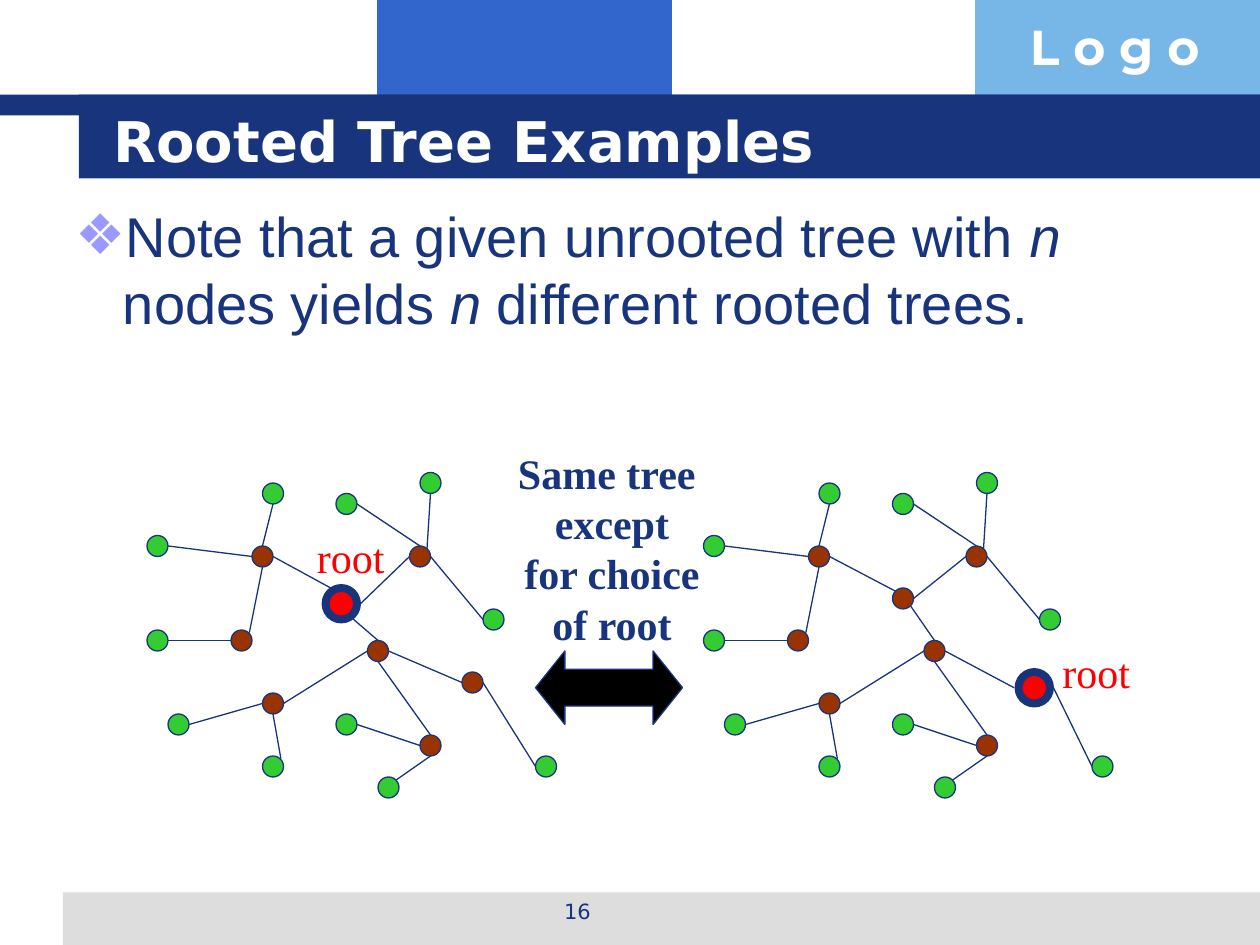
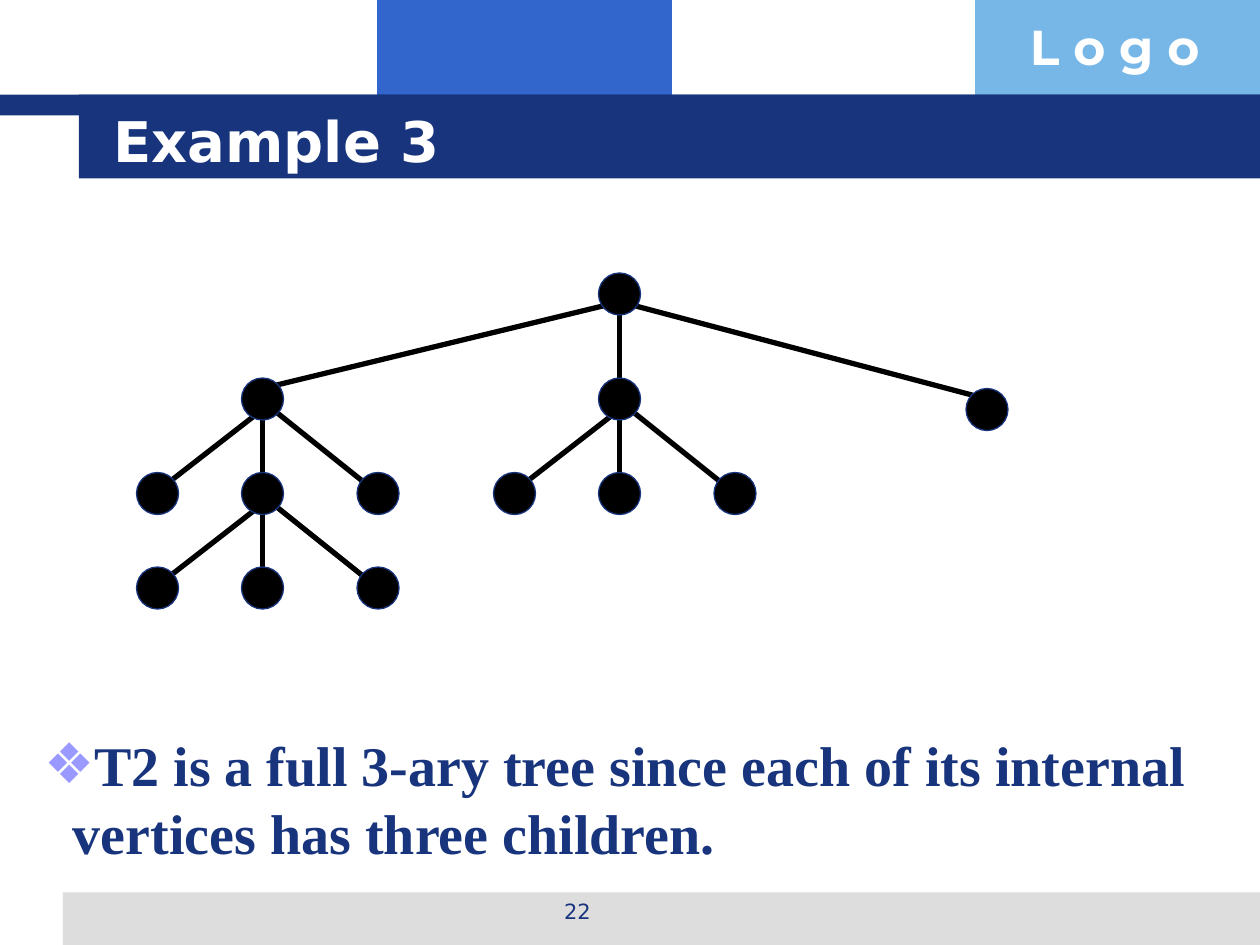
from lxml import etree
from pptx import Presentation
from pptx.dml.color import RGBColor
from pptx.enum import shapes, text
from pptx.oxml.ns import qn
from pptx.util import Pt

NAVY = RGBColor(0x17, 0x34, 0x7D)
BLUE = RGBColor(0x33, 0x66, 0xCC)
SKY = RGBColor(0x77, 0xB7, 0xE7)
GREY = RGBColor(0xDD, 0xDD, 0xDD)
LILAC = RGBColor(0x99, 0x99, 0xFF)
BROWN = RGBColor(0x99, 0x33, 0x00)
GREEN = RGBColor(0x33, 0xCC, 0x33)
RED = RGBColor(0xFF, 0x00, 0x00)
WHITE = RGBColor(0xFF, 0xFF, 0xFF)
BLACK = RGBColor(0x00, 0x00, 0x00)

SANS, BODY, SERIF, LOGO = "DejaVu Sans", "Arial", "Times New Roman", "Montserrat"
OVAL = shapes.MSO_SHAPE.OVAL
RECTANGLE = shapes.MSO_SHAPE.RECTANGLE

# Left, top, width, height and colour of the bands every slide shares
BANDS = [
    (215.5, 0, 168.5, 66, BLUE),
    (557.25, 0, 162.75, 66, SKY),
    (36, 510, 684, 30, GREY),
    (0, 54, 720, 12, NAVY),
    (45, 54, 675, 48, NAVY),
]

# Top left corners of the nodes in the tree with a movable root
TREE_SHIFT = 318
INNER_NODES = [(144, 312), (150, 396), (132, 360), (210, 366), (240, 420), (234, 312)]
LEAVES = [(276, 348), (192, 282), (192, 408), (96, 408), (240, 270), (306, 432),
          (150, 432), (84, 360), (84, 306), (150, 276), (216, 444)]
SHARED_EDGES = [
    (240, 312, 204, 288), (246, 318, 276, 354), (216, 378, 246, 420),
    (210, 372, 162, 402), (142.5, 361.5, 150, 324), (204, 414, 240, 426),
    (108, 414, 150, 402), (246, 432, 226, 446), (244, 314, 246, 282),
    (150, 312, 156, 288), (144, 318, 96, 312), (96, 366, 132, 366),
    (156, 408, 160.5, 433.5),
]
# Edges that touch the two nodes that can be the root
CENTRE_ROOT_EDGES = [(156, 318, 189, 336), (206, 345, 234, 318), (201.5, 353.5, 216, 366),
                     (276, 390, 306, 438), (222, 372, 264, 390)]
SIDE_ROOT_EDGES = [(156, 318, 194, 338), (204, 342, 234, 318), (202.5, 346.5, 216, 366),
                   (284, 393, 306, 438), (222, 372, 261.5, 393)]

# The 3-ary tree: its root, and the inner vertices with three children below
TOP_VERTEX = (342, 156)
SIDE_VERTEX = (552, 222)
PARENTS = [(138, 216), (342, 216), (138, 270)]
CHILD_OFFSETS = [(-60, 54), (0, 54), (66, 54)]
CHILD_EDGES = [(12, 18, -42, 60), (12, 24, 12, 60), (18, 18, 78, 66)]
TOP_EDGES = [(348, 174, 150, 222), (354, 174, 354, 228), (360, 174, 564, 228)]


def place(shape, left, top, width, height):
    shape.left, shape.top = Pt(left), Pt(top)
    shape.width, shape.height = Pt(width), Pt(height)


def add_figure(slide, kind, box, fill, line=None, line_width=0.75):
    shape = slide.shapes.add_shape(kind, *map(Pt, box))
    shape.shadow.inherit = False
    shape.fill.solid()
    shape.fill.fore_color.rgb = fill
    if line is None:
        shape.line.fill.background()
    else:
        shape.line.color.rgb = line
        shape.line.width = Pt(line_width)
    return shape


def add_node(slide, left, top, fill, size=12, line_width=0.75):
    add_figure(slide, OVAL, (left, top, size, size), fill, NAVY, line_width)


def add_edge(slide, ends, color, width, shift=0):
    x1, y1, x2, y2 = ends
    edge = slide.shapes.add_connector(
        shapes.MSO_CONNECTOR.STRAIGHT, Pt(x1 + shift), Pt(y1), Pt(x2 + shift), Pt(y2))
    edge.line.color.rgb = color
    edge.line.width = Pt(width)
    etree.SubElement(edge.element.spPr, qn("a:effectLst"))


def add_run(paragraph, words, font_name, size, color, bold=False, italic=False):
    run = paragraph.add_run()
    run.text = words
    font = run.font
    font.name, font.size, font.bold, font.italic = font_name, Pt(size), bold, italic
    font.color.rgb = color


def add_label(slide, box, lines, font_name, size, color, bold=False, centred=False, wrap=True):
    label = slide.shapes.add_textbox(*map(Pt, box))
    label.text_frame.word_wrap = wrap
    paragraph = label.text_frame.paragraphs[0]
    if centred:
        paragraph.alignment = text.PP_ALIGN.CENTER
    for index, line in enumerate(lines):
        if index:
            paragraph.add_line_break()
        add_run(paragraph, line, font_name, size, color, bold)
    return label


def add_bullet(paragraph, indent):
    """Give the paragraph a hanging lilac diamond."""
    properties = paragraph._p.get_or_add_pPr()
    properties.set("marL", str(Pt(indent)))
    properties.set("indent", str(-Pt(indent)))
    color = etree.SubElement(properties, qn("a:buClr"))
    etree.SubElement(color, qn("a:srgbClr")).set("val", str(LILAC))
    etree.SubElement(properties, qn("a:buChar")).set("char", "❖")
    paragraph.space_before = Pt(0)


def fill_body(slide, box, indent, runs, font_name, bold=False):
    """Write one bulleted paragraph; runs are pairs of words and italic."""
    body = slide.placeholders[1]
    place(body, *box)
    body.text_frame.auto_size = text.MSO_AUTO_SIZE.NONE
    paragraph = body.text_frame.paragraphs[0]
    add_bullet(paragraph, indent)
    for words, italic in runs:
        add_run(paragraph, words, font_name, 32, NAVY, bold, italic)


def move_bands_to_layout(slide):
    """Draw the shared bands and hand them to the layout, behind its placeholders."""
    bands = [add_figure(slide, RECTANGLE, box, fill) for *box, fill in BANDS]
    bands.append(add_label(slide, (581.5, 6, 138.5, 41), ["L o g o"], LOGO, 28, WHITE, bold=True))
    layout_tree = slide.slide_layout.shapes.element
    for position, band in enumerate(bands, start=2):
        layout_tree.insert(position, band.element)


def add_slide(presentation, title, number):
    slide = presentation.slides.add_slide(presentation.slide_layouts[1])
    place(slide.shapes.title, 57.5, 57.5, 614, 45)
    frame = slide.shapes.title.text_frame
    frame.auto_size = text.MSO_AUTO_SIZE.NONE
    frame.vertical_anchor = text.MSO_ANCHOR.MIDDLE
    paragraph = frame.paragraphs[0]
    paragraph.alignment = text.PP_ALIGN.LEFT
    add_run(paragraph, title, SANS, 32, WHITE, bold=True)
    add_label(slide, (246, 510, 168, 25), [number], SANS, 12, NAVY, centred=True)
    return slide


def draw_rooted_tree(slide, shift, edges, root, inner_nodes, label_place):
    for ends in SHARED_EDGES + edges:
        add_edge(slide, ends, NAVY, 0.75, shift)
    for nodes, fill in ((inner_nodes, BROWN), (LEAVES, GREEN)):
        for left, top in nodes:
            add_node(slide, left + shift, top, fill)
    add_node(slide, root[0] + shift, root[1], RED, size=18, line_width=4.5)
    add_label(slide, (*label_place, 53, 36), ["root"], SERIF, 24, RED, wrap=False)


def draw_ternary_tree(slide):
    edges = list(TOP_EDGES)
    vertices = [TOP_VERTEX, SIDE_VERTEX, *PARENTS[:2]]
    for x, y in PARENTS:
        edges += [(x + x1, y + y1, x + x2, y + y2) for x1, y1, x2, y2 in CHILD_EDGES]
        vertices += [(x + dx, y + dy) for dx, dy in CHILD_OFFSETS]
    for ends in edges:
        add_edge(slide, ends, BLACK, 3)
    for left, top in vertices:
        add_node(slide, left, top, BLACK, size=24)


def build_rooted_trees(presentation):
    slide = add_slide(presentation, "Rooted Tree Examples", "16")
    move_bands_to_layout(slide)
    fill_body(slide, (36, 111.5, 648, 384.5), 27, [
        ("Note that a given unrooted tree with ", False), ("n", True),
        (" nodes yields ", False), ("n", True),
        (" different rooted trees.", False)], BODY)
    draw_rooted_tree(slide, 0, CENTRE_ROOT_EDGES, (186, 336),
                     INNER_NODES + [(264, 384)], (174, 300))
    draw_rooted_tree(slide, TREE_SHIFT, SIDE_ROOT_EDGES, (264, 384),
                     INNER_NODES + [(192, 336)], (600, 366))
    arrow = add_figure(slide, shapes.MSO_SHAPE.LEFT_RIGHT_ARROW, (306, 372, 84, 42), BLACK, NAVY)
    arrow.adjustments[0], arrow.adjustments[1] = 0.5, 0.4
    add_label(slide, (288.5, 252, 122.5, 122.5),
              ["Same tree ", "except", "for choice", "of root"],
              SERIF, 24, NAVY, bold=True, centred=True, wrap=False)


def build_ternary_tree(presentation):
    slide = add_slide(presentation, "Example 3", "22")
    fill_body(slide, (18, 414, 690, 84), 16.5, [
        ("T2 is a full 3-ary tree since each of its internal vertices has three children.",
         False)], SERIF, bold=True)
    draw_ternary_tree(slide)


def main():
    presentation = Presentation()
    presentation.slide_width, presentation.slide_height = Pt(720), Pt(540)
    build_rooted_trees(presentation)
    build_ternary_tree(presentation)
    presentation.save("out.pptx")


if __name__ == "__main__":
    main()
